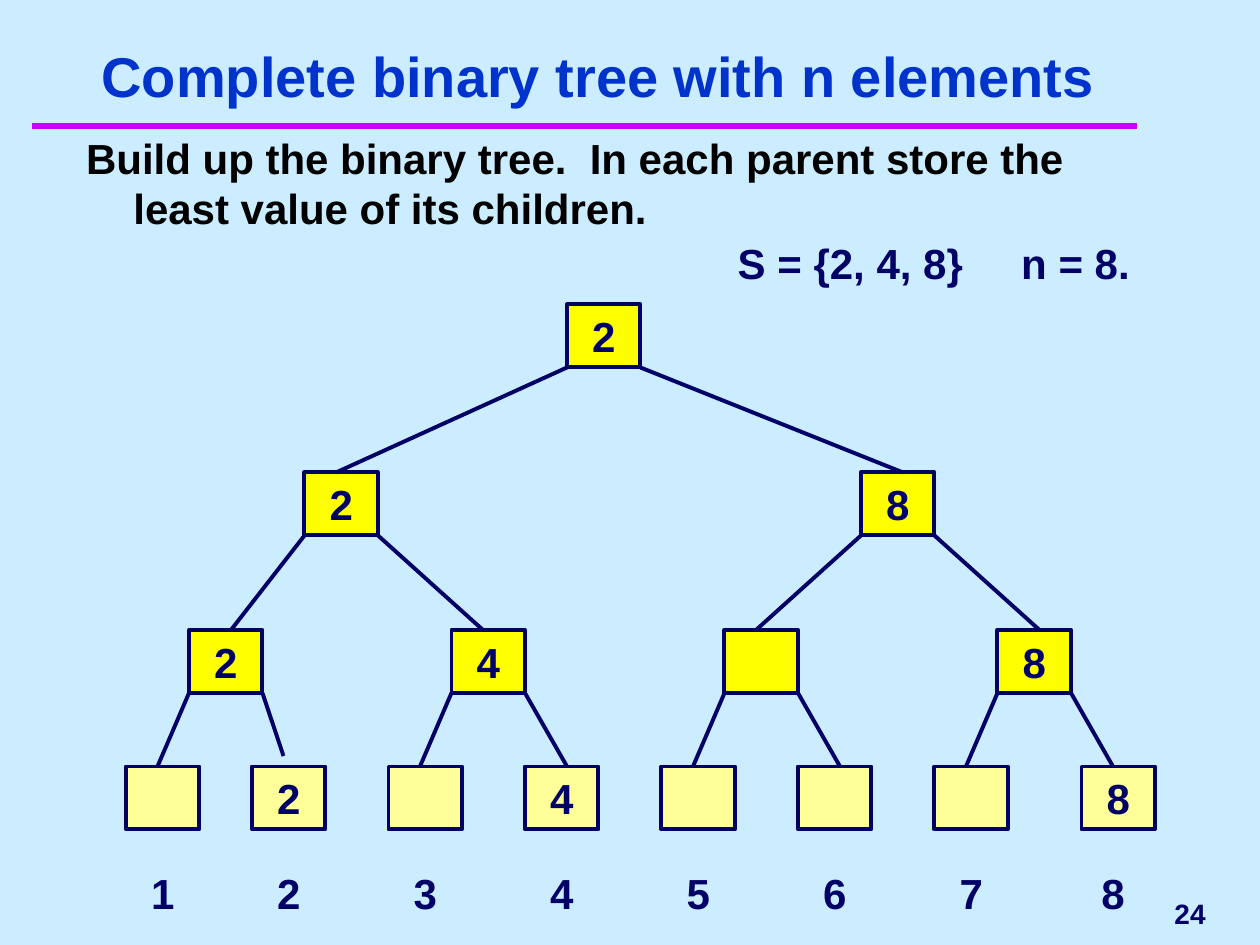
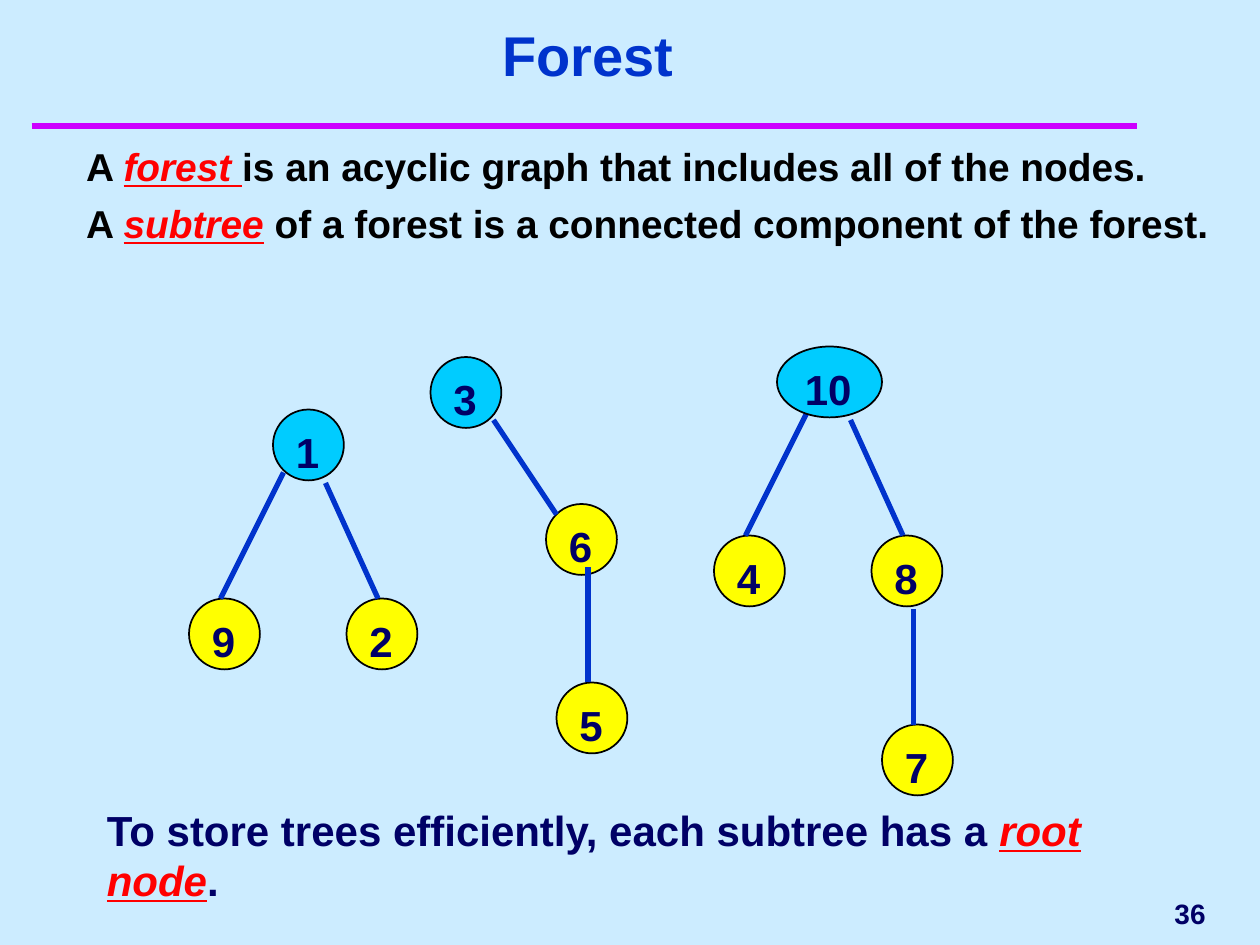
from lxml import etree
from pptx import Presentation
from pptx.dml.color import RGBColor
from pptx.enum import shapes, text
from pptx.oxml.ns import qn
from pptx.util import Pt

COLORS = {"background": "CCECFF", "rule": "CC00FF", "title": "0033CC", "body": "000000",
          "ink": "000066", "emphasis": "FF0000", "leaf": "FFFF99", "node": "FFFF00",
          "root": "00CCFF", "edge": "0033CC", "outline": "000000"}
LEFT, CENTER, RIGHT = text.PP_ALIGN.LEFT, text.PP_ALIGN.CENTER, text.PP_ALIGN.RIGHT
TOP, MIDDLE, BOTTOM = text.MSO_ANCHOR.TOP, text.MSO_ANCHOR.MIDDLE, text.MSO_ANCHOR.BOTTOM


def write(sp, lines, size=24, color="ink", align=LEFT, anchor=TOP, wrap=True, hanging=0, tab=0):
    """Fill a shape with paragraphs; words between asterisks are emphasised."""
    tf = sp.text_frame
    frame_format = {"auto_size": text.MSO_AUTO_SIZE.NONE, "vertical_anchor": anchor,
                    "word_wrap": wrap, "margin_left": Pt(7.2), "margin_right": Pt(7.2),
                    "margin_top": Pt(3.6), "margin_bottom": Pt(3.6)}
    for name, value in frame_format.items():
        setattr(tf, name, value)
    for i, line in enumerate(lines):
        p = tf.add_paragraph() if i else tf.paragraphs[0]
        p.alignment = align
        p.space_before = Pt(6 if i else 0)
        pPr = p._p.get_or_add_pPr()
        if hanging:
            pPr.set("marL", str(Pt(hanging)))
            pPr.set("indent", str(-Pt(hanging)))
            etree.SubElement(pPr, qn("a:buNone"))
        if tab:
            tabs = etree.SubElement(pPr, qn("a:tabLst"))
            etree.SubElement(tabs, qn("a:tab"), pos=str(Pt(tab)), algn="l")
        for k, part in enumerate(line.split("*")):
            if not part:
                continue
            r = p.add_run()
            r.text = part
            emphasised = k % 2 == 1
            run_format = {"name": "Arial", "size": Pt(size), "bold": True,
                          "italic": emphasised, "underline": emphasised}
            for name, value in run_format.items():
                setattr(r.font, name, value)
            r.font.color.rgb = RGBColor.from_string(COLORS["emphasis" if emphasised else color])


def draw(s, kind, box, color, line_color=None, width=1):
    """Draw a preset shape in (x, y, w, h), or with kind None a line from (x1, y1) to (x2, y2)."""
    box = [Pt(v) for v in box]
    if kind is None:
        sp = s.shapes.add_connector(shapes.MSO_CONNECTOR.STRAIGHT, *box)
        etree.SubElement(sp.element.spPr, qn("a:effectLst"))
    else:
        sp = s.shapes.add_shape(kind, *box)
        sp.shadow.inherit = False
        sp.fill.solid()
        sp.fill.fore_color.rgb = RGBColor.from_string(COLORS[color])
    sp.line.color.rgb = RGBColor.from_string(COLORS[line_color or color])
    sp.line.width = Pt(width)
    return sp


prs = Presentation()
prs.slide_width, prs.slide_height = Pt(720), Pt(540)
master = prs.slide_master
master.background.fill.solid()
master.background.fill.fore_color.rgb = RGBColor.from_string(COLORS["background"])

# Titles, body text and page numbers
pages = [
    ("Complete binary tree with n elements", (36, 12, 612, 54),
     ["Build up the binary tree.  In each parent store the least value of its children."],
     (42, 72, 608, 78), 24, "24"),
    ("Forest", (30, 24, 612, 30),
     ["A *forest *is an acyclic graph that includes all of the nodes.",
      "A *subtree* of a forest is a connected component of the forest."],
     (42, 78, 660, 144), 22.2, "36"),
]
for title, title_box, body, body_box, body_size, number in pages:
    s = prs.slides.add_slide(prs.slide_layouts[1])
    for sp, box in zip(s.placeholders, (title_box, body_box)):
        sp.left, sp.top, sp.width, sp.height = [Pt(v) for v in box]
    write(s.shapes.title, [title], 32, "title", CENTER, BOTTOM)
    write(s.placeholders[1], body, body_size, "body", hanging=27)
    page_number = s.shapes.add_textbox(Pt(558), Pt(504), Pt(138), Pt(36))
    write(page_number, [number], 16, align=RIGHT, anchor=MIDDLE, wrap=False)
tree_slide, forest_slide = prs.slides

rule = draw(tree_slide, None, (18, 72, 650, 72), "rule", width=4)
master.shapes.element.append(rule.element)

# Complete binary tree: per level the top, the fill and (left, value, x where the edge arrives)
NODE_W, NODE_H = 42, 36
levels = [
    (174, "node", [(324, "2", None)]),
    (270, "node", [(174, "2", 192), (492, "8", 516)]),
    (360, "node", [(108, "2", 132), (258, "4", 276), (414, "", 432), (570, "8", 594)]),
    (438, "leaf", [(72, "", 90), (144, "2", 162), (222, "", 240), (300, "4", 324),
                   (378, "", 396), (456, "", 480), (534, "", 552), (618, "8", 636)]),
]
parents = []
for top, fill, nodes in levels:
    for i, (left, value, edge_x) in enumerate(nodes):
        box = draw(tree_slide, shapes.MSO_SHAPE.RECTANGLE, (left, top, NODE_W, NODE_H),
                   fill, "ink", 2.25)
        write(box, [value], align=CENTER, anchor=MIDDLE, wrap=False)
        if parents:
            parent_x, parent_bottom = parents[i // 2]
            edge_y = top - 6 if edge_x == 162 else top
            draw(tree_slide, None, (parent_x + i % 2 * NODE_W, parent_bottom, edge_x, edge_y),
                 "ink", width=2.25)
    parents = [(left, top + NODE_H) for left, _, _ in nodes]

for i, left in enumerate([72, 144, 222, 300, 378, 456, 534, 615], 1):
    label = tree_slide.shapes.add_textbox(Pt(left), Pt(492), Pt(NODE_W), Pt(NODE_H))
    write(label, [str(i)], align=CENTER, anchor=MIDDLE, wrap=False)

example = tree_slide.shapes.add_textbox(Pt(414.5), Pt(132), Pt(260), Pt(36))
write(example, ["S = {2, 4, 8}\tn = 8."], anchor=MIDDLE, tab=162)

# Forest of three subtrees, the roots drawn over the edges
CIRCLE = 40.5
children = [("2", 198, 342), ("6", 312, 288), ("5", 318, 390), ("9", 108, 342),
            ("8", 498, 306), ("4", 408, 306), ("7", 504, 414)]
edges = [(282, 240, 318, 294), (162, 270, 126, 342), (186, 276, 216, 342),
         (336, 324, 336, 390), (462, 234, 426, 306), (486, 240, 516, 306),
         (522, 348, 522, 414)]
roots = [("3", 246, 204), ("1", 156, 234), ("10", 444, 198)]
for fill, nodes, lines in [("node", children, edges), ("root", roots, [])]:
    for value, left, top in nodes:
        width = 60 if len(value) > 1 else CIRCLE
        circle = draw(forest_slide, shapes.MSO_SHAPE.OVAL, (left, top, width, CIRCLE),
                      fill, "outline")
        write(circle, [value])
    for line in lines:
        draw(forest_slide, None, line, "edge", width=3)

closing = forest_slide.shapes.add_textbox(Pt(54), Pt(456), Pt(582), Pt(65))
write(closing, ["To store trees efficiently, each subtree has a *root node*."])

prs.save("out.pptx")
